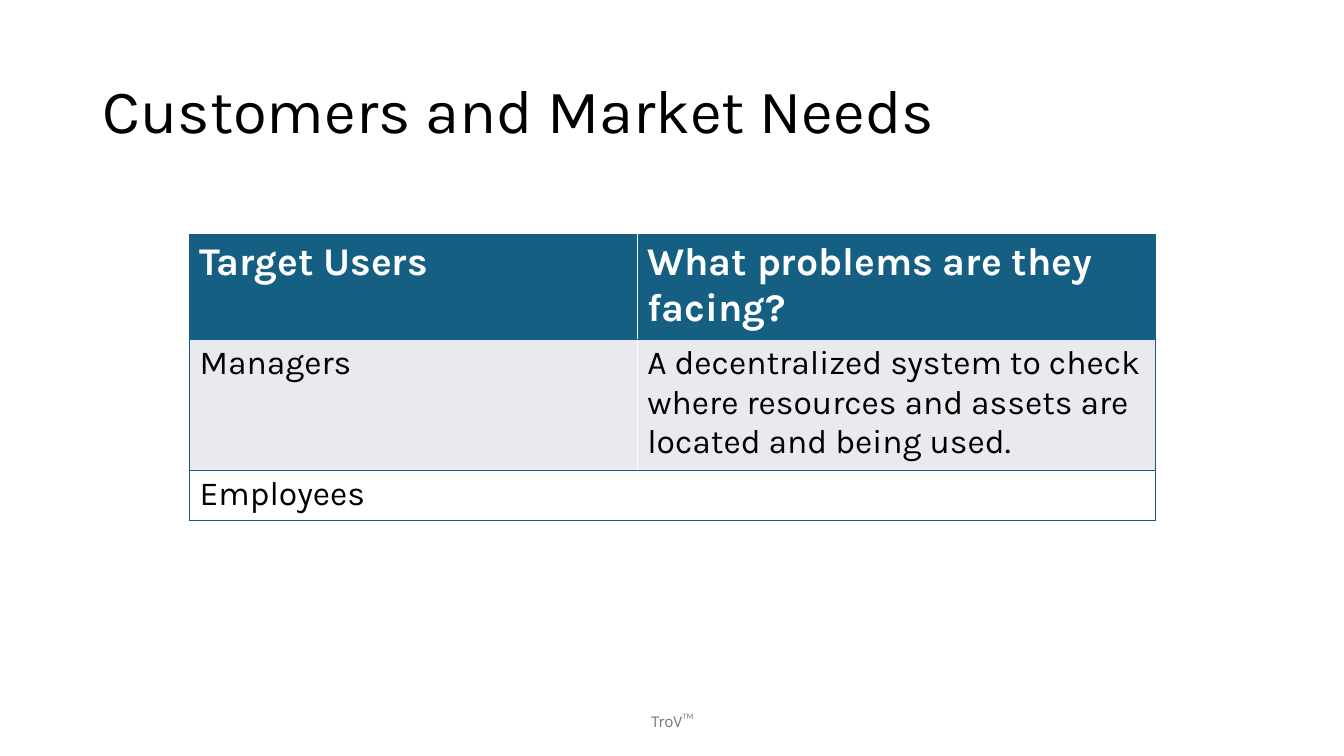
from dataclasses import dataclass

from lxml import etree
from pptx import Presentation
from pptx import util as u
from pptx.dml.color import RGBColor
from pptx.enum import text
from pptx.oxml.ns import qn

FONT = "Karla"
TEAL, BLACK, WHITE = "156082", "000000", "FFFFFF"


@dataclass
class Label:
    words: str
    box: tuple[float, float, float, float]
    size: int
    color: str
    align: text.PP_ALIGN
    spacing: float = 1.0


@dataclass
class Row:
    cells: tuple[str, str]
    height: float
    fill: str
    size: int = 24
    color: str = BLACK
    bold: bool = False


LABELS = [
    Label("Customers and Market Needs", (0.92, 0.4, 11.5, 1.45), 44, BLACK,
          text.PP_ALIGN.LEFT, 0.9),
    Label("TroV™", (4.42, 6.95, 4.5, 0.4), 12, "797979", text.PP_ALIGN.CENTER),
]
COLUMN_WIDTHS = (4.44, 5.14)
ROWS = [
    Row(("Target Users", "What problems are they facing?"), 1.01, TEAL, 28, WHITE, True),
    Row(("Managers", "A decentralized system to check where resources and assets "
         "are located and being used."), 1.26, "E8EAED"),
    Row(("Employees", ""), 0.5, WHITE),
]


def rgb(color: str) -> RGBColor:
    return RGBColor.from_string(color)


def add_run(p, words: str, size: int, color: str, bold: bool = False) -> None:
    r = p.add_run()
    r.text = words
    r.font.name = FONT
    r.font.size = u.Pt(size)
    r.font.bold = bold
    r.font.color.rgb = rgb(color)


def add_label(s, label: Label) -> None:
    tf = s.shapes.add_textbox(*map(u.Inches, label.box)).text_frame
    tf.word_wrap = True
    tf.vertical_anchor = text.MSO_ANCHOR.MIDDLE
    p = tf.paragraphs[0]
    p.alignment = label.align
    p.line_spacing = label.spacing
    add_run(p, label.words, label.size, label.color)


def add_borders(cell, sides: str) -> None:
    """Draw teal lines on the given sides, named in the order L, R, T, B."""
    props = cell._tc.get_or_add_tcPr()
    for i, side in enumerate(sides):
        line = etree.Element(qn(f"a:ln{side}"), w=str(u.Pt(1)))
        fill = etree.SubElement(line, qn("a:solidFill"))
        etree.SubElement(fill, qn("a:srgbClr"), val=TEAL)
        props.insert(i, line)


def add_users_table(s) -> None:
    height = sum(row.height for row in ROWS)
    frame = s.shapes.add_table(
        len(ROWS), len(COLUMN_WIDTHS), u.Inches(1.88), u.Inches(2.33),
        u.Inches(sum(COLUMN_WIDTHS)), u.Inches(height))
    table = frame.table
    table.horz_banding = False
    for column, width in zip(table.columns, COLUMN_WIDTHS):
        column.width = u.Inches(width)
    for i, row in enumerate(ROWS):
        table.rows[i].height = u.Inches(row.height)
        for cell, words, sides in zip(table.rows[i].cells, row.cells, ("LTB", "RTB")):
            cell.fill.solid()
            cell.fill.fore_color.rgb = rgb(row.fill)
            add_borders(cell, sides)
            if words:
                add_run(cell.text_frame.paragraphs[0], words, row.size, row.color, row.bold)


def main() -> None:
    prs = Presentation()
    prs.slide_width, prs.slide_height = u.Inches(13.33), u.Inches(7.5)
    s = prs.slides.add_slide(prs.slide_layouts[6])
    for label in LABELS:
        add_label(s, label)
    add_users_table(s)
    prs.save("out.pptx")


if __name__ == "__main__":
    main()
